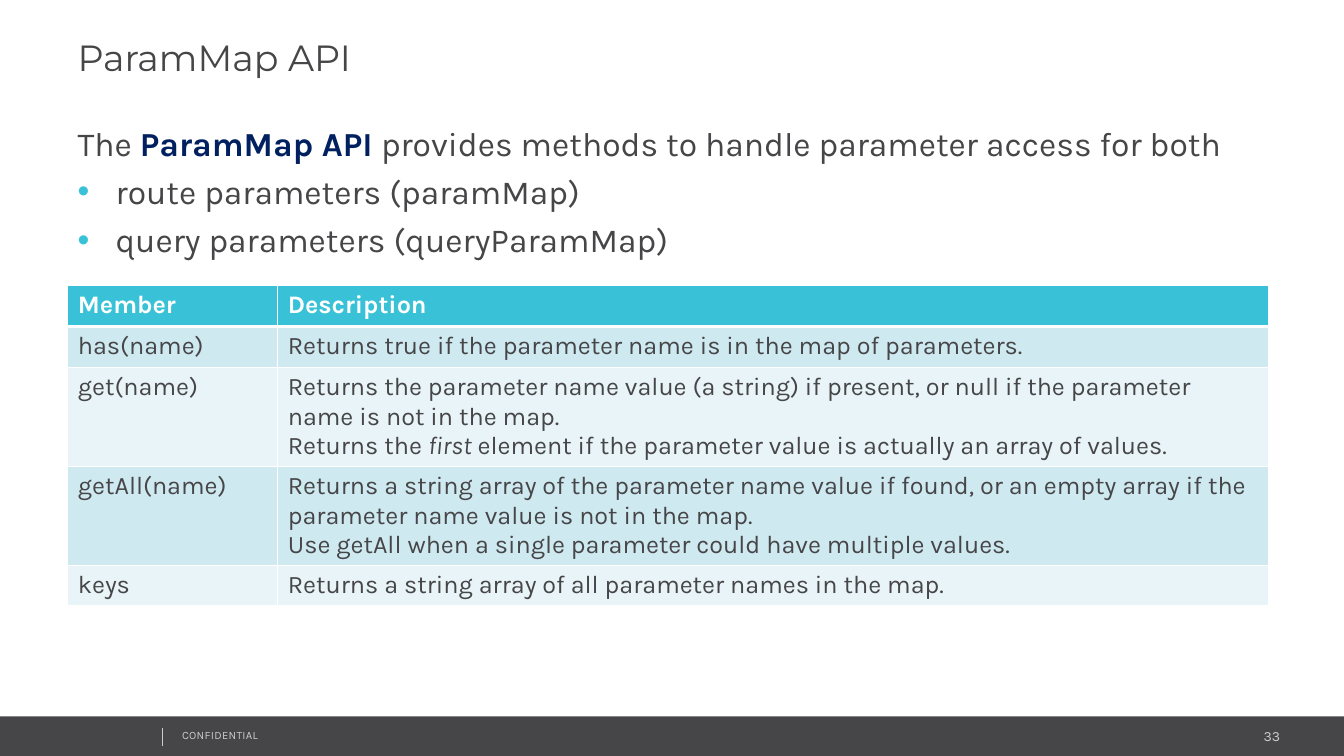
from lxml.etree import SubElement
from pptx import Presentation
from pptx.dml.color import RGBColor
from pptx.enum.shapes import MSO_CONNECTOR, MSO_SHAPE
from pptx.enum.text import MSO_ANCHOR, MSO_AUTO_SIZE, PP_ALIGN
from pptx.oxml.ns import qn
from pptx.util import Cm, Pt

DARK = RGBColor(0x46, 0x45, 0x47)
TEAL = RGBColor(0x39, 0xC2, 0xD7)
NAVY = RGBColor(0x00, 0x20, 0x60)
WHITE = RGBColor(0xFF, 0xFF, 0xFF)
GREY = RGBColor(0xCC, 0xCC, 0xCC)
BAND_DARK = RGBColor(0xCE, 0xE9, 0xF0)
BAND_LIGHT = RGBColor(0xE8, 0xF4, 0xF8)


def add_run(paragraph, text, color, **formats):
    run = paragraph.add_run()
    run.text = text
    run.font.color.rgb = color
    for name, value in ({"name": "Karla", "bold": False} | formats).items():
        setattr(run.font, name, value)
    return run


def set_frame(shape, left, top, width, height):
    frame = {"left": left, "top": top, "width": width, "height": height}
    for name, value in frame.items():
        setattr(shape, name, Cm(value))
    text_format = {"word_wrap": True, "auto_size": MSO_AUTO_SIZE.NONE, "vertical_anchor": MSO_ANCHOR.TOP}
    for name, value in text_format.items():
        setattr(shape.text_frame, name, value)


presentation = Presentation()
presentation.slide_width = Cm(33.87)
presentation.slide_height = Cm(19.05)
slide = presentation.slides.add_slide(presentation.slide_layouts[1])

footer_bar = slide.shapes.add_shape(MSO_SHAPE.RECTANGLE, Cm(0), Cm(18.05), Cm(33.87), Cm(1))
footer_bar.shadow.inherit = False
footer_bar.fill.solid()
footer_bar.fill.fore_color.rgb = DARK
footer_bar.line.fill.background()

footer_texts = [
    ("33", 10, PP_ALIGN.RIGHT, (26.97, 18.21, 5.54, 0.69)),
    ("CONFIDENTIAL", 8, PP_ALIGN.LEFT, (4.34, 18.24, 8.59, 0.61)),
]
for text, size, alignment, frame in footer_texts:
    text_box = slide.shapes.add_textbox(*map(Cm, frame))
    set_frame(text_box, *frame)
    paragraph = text_box.text_frame.paragraphs[0]
    paragraph.alignment = alignment
    run = add_run(paragraph, text, GREY, size=Pt(size))
run.font._element.set("spc", "20")

divider = slide.shapes.add_connector(MSO_CONNECTOR.STRAIGHT, Cm(4.09), Cm(18.34), Cm(4.09), Cm(18.8))
divider.line.color.rgb = GREY
divider.line.width = Pt(0.25)
SubElement(divider._element.spPr, qn("a:effectLst"))

title = slide.shapes.title
set_frame(title, 1.7, 0.76, 30.48, 3.18)
paragraph = title.text_frame.paragraphs[0]
paragraph.alignment = PP_ALIGN.LEFT
add_run(paragraph, "ParamMap API", DARK, name="Montserrat", size=Pt(26))

body = slide.placeholders[1]
set_frame(body, 1.7, 2.97, 30.91, 14.05)
body_paragraphs = [
    (False, [("The ", DARK, False), ("ParamMap API ", NAVY, True),
             ("provides methods to handle parameter access for both", DARK, False)]),
    (True, [("route parameters (paramMap)", DARK, False)]),
    (True, [("query parameters (queryParamMap)", DARK, False)]),
]
for index, (bulleted, runs) in enumerate(body_paragraphs):
    paragraph = body.text_frame.add_paragraph() if index else body.text_frame.paragraphs[0]
    paragraph.space_before = Pt(5.6)
    properties = paragraph._p.get_or_add_pPr()
    indent = Cm(0.96) if bulleted else 0
    properties.set("marL", str(indent))
    properties.set("indent", str(-indent))
    if bulleted:
        bullet_color = SubElement(properties, qn("a:buClr"))
        SubElement(bullet_color, qn("a:srgbClr"), val=str(TEAL))
        SubElement(properties, qn("a:buFont"), typeface="Arial")
        SubElement(properties, qn("a:buChar"), char="•")
    else:
        SubElement(properties, qn("a:buNone"))
    for text, color, bold in runs:
        add_run(paragraph, text, color, size=Pt(24), bold=bold)

members = [
    ("Member", [["Description"]]),
    ("has(name)", [["Returns true if the parameter name is in the map of parameters."]]),
    ("get(name)", [
        ["Returns the parameter name value (a string) if present, or null if the parameter name is not in the map."],
        ["Returns the ", "first", " element if the parameter value is actually an array of values."],
    ]),
    ("getAll(name)", [
        ["Returns a string array of the parameter name value if found, or an empty array "
         "if the parameter name value is not in the map."],
        ["Use getAll when a single parameter could have multiple values."],
    ]),
    ("keys", [["Returns a string array of all parameter names in the map."]]),
]
table = slide.shapes.add_table(len(members), 2, Cm(1.71), Cm(7.2), Cm(30.26), Cm(8.07)).table
for column, width in zip(table.columns, (5.29, 24.97)):
    column.width = Cm(width)

for row_index, (member, description) in enumerate(members):
    header = row_index == 0
    table.rows[row_index].height = Cm(2.49 if len(description) > 1 else 1.03)
    fill = TEAL if header else (BAND_LIGHT, BAND_DARK)[row_index % 2]
    borders = {"lnL": 1, "lnR": 1, "lnT": 3 if row_index == 1 else 1, "lnB": 3 if header else 1}
    for column_index, paragraphs in enumerate(([[member]], description)):
        cell = table.cell(row_index, column_index)
        cell_properties = cell._tc.get_or_add_tcPr()
        for side, width in borders.items():
            border = SubElement(cell_properties, qn(f"a:{side}"), w=str(Pt(width)))
            border_fill = SubElement(border, qn("a:solidFill"))
            SubElement(border_fill, qn("a:srgbClr"), val=str(WHITE))
        cell.fill.solid()
        cell.fill.fore_color.rgb = fill
        for index, texts in enumerate(paragraphs):
            paragraph = cell.text_frame.add_paragraph() if index else cell.text_frame.paragraphs[0]
            for text in texts:
                add_run(paragraph, text, WHITE if header else DARK,
                        size=Pt(18), bold=header, italic=text == "first")

presentation.save("out.pptx")
